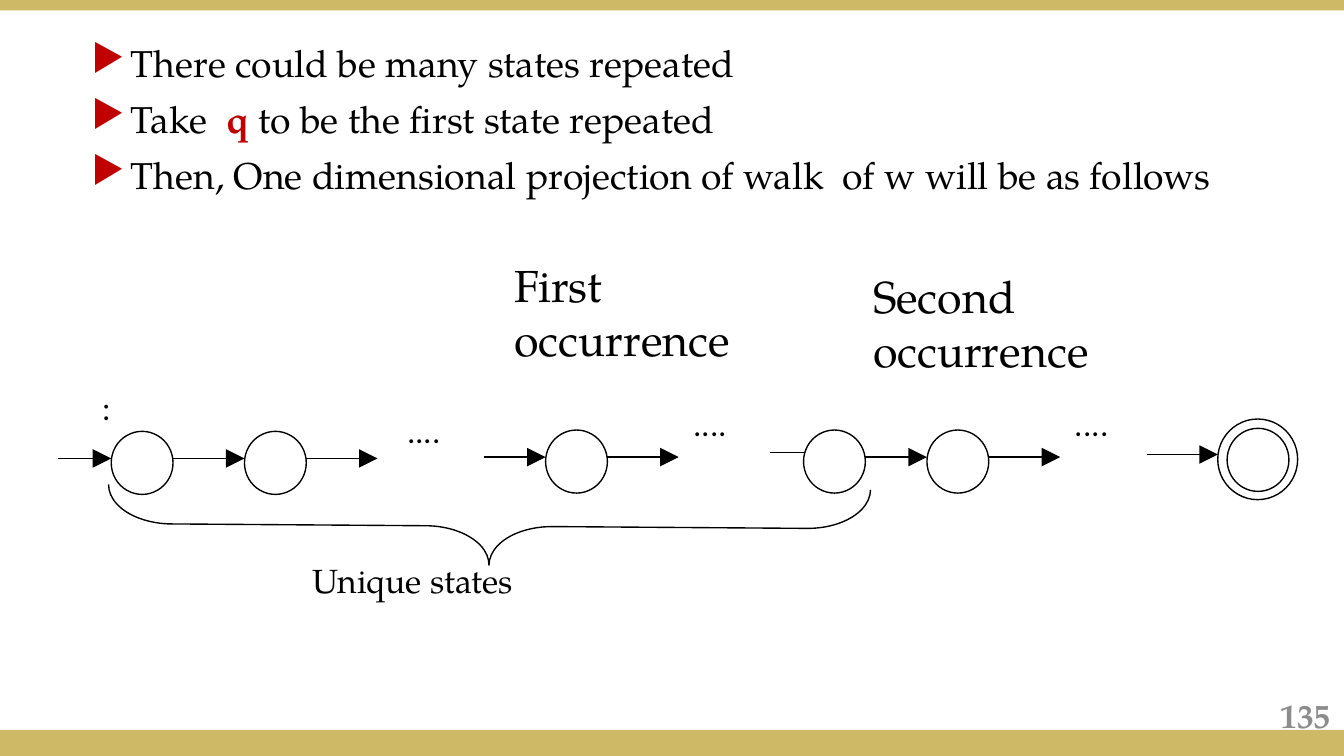
"""Build the slide on the walk of w and its first repeated state."""
from lxml import etree
from pptx import Presentation
from pptx import util as u
from pptx.dml.color import RGBColor
from pptx.enum import shapes, text
from pptx.oxml.ns import qn

GOLD = RGBColor(0xCE, 0xB9, 0x66)
RED = RGBColor(0xC0, 0x00, 0x00)
GRAY = RGBColor(0x8C, 0x8C, 0x8C)
BLACK = RGBColor(0x00, 0x00, 0x00)
FONT = "TeX Gyre Pagella"
STATE_WIDTH, STATE_HEIGHT = 33.1, 33.8

deck = Presentation()
deck.slide_width, deck.slide_height = u.Pt(720), u.Pt(405)
page = deck.slides.add_slide(deck.slide_layouts[6])


def add_outline(kind, left, top, width, height):
    shape = page.shapes.add_shape(kind, u.Pt(left), u.Pt(top), u.Pt(width), u.Pt(height))
    shape.shadow.inherit = False
    shape.fill.background()
    shape.line.color.rgb = BLACK
    shape.line.width = u.Pt(0.75)
    return shape


def add_label(words, left, top, width, height, size, color=BLACK):
    box = page.shapes.add_textbox(u.Pt(left), u.Pt(top), u.Pt(width), u.Pt(height))
    box.text_frame.word_wrap = True
    box.text_frame.text = words
    for para in box.text_frame.paragraphs:
        for span in para.runs:
            span.font.name = FONT
            span.font.size = u.Pt(size)
            span.font.color.rgb = color
    return box


for top, height in [(391, 14), (0, 5.6)]:
    band = add_outline(shapes.MSO_SHAPE.RECTANGLE, 0, top, 720, height)
    band.fill.solid()
    band.fill.fore_color.rgb = GOLD
    band.line.fill.background()

number = add_label("135", 552, 372.5, 168, 21.5, 18, GRAY)
number.text_frame.vertical_anchor = text.MSO_ANCHOR.MIDDLE
number.text_frame.paragraphs[0].alignment = text.PP_ALIGN.RIGHT
number.text_frame.paragraphs[0].runs[0].font.bold = True

points = [
    [("There could be many states repeated", BLACK)],
    [("Take  ", BLACK), ("q ", RED), ("to be the first state repeated", BLACK)],
    [("Then, One dimensional projection of walk  of w will be as follows", BLACK)],
]
box = add_label("", 42, 18, 621, 92, 20)
for index, spans in enumerate(points):
    para = box.text_frame.add_paragraph() if index else box.text_frame.paragraphs[0]
    para.space_after = u.Pt(6)
    properties = para._p.get_or_add_pPr()
    properties.set("marL", str(u.Pt(21)))
    properties.set("indent", str(-u.Pt(21)))
    bullet_color = etree.SubElement(properties, qn("a:buClr"))
    etree.SubElement(bullet_color, qn("a:srgbClr"), val=str(RED))
    etree.SubElement(properties, qn("a:buChar"), char="▶")
    for words, color in spans:
        span = para.add_run()
        span.text = words
        span.font.name = FONT
        span.font.size = u.Pt(20)
        span.font.color.rgb = color
        span.font.bold = color == RED

for words, left, top, width, height, size in [
    (":", 48, 203.8, 24, 29, 18),
    ("....", 211, 216, 57, 45, 18),
    ("....", 364.3, 212.4, 57, 45, 18),
    ("....", 568.8, 212.4, 57, 45, 18),
    ("First\noccurrence", 268.5, 134.6, 148, 82, 24),
    ("Second\noccurrence", 460.6, 140.4, 148, 82, 24),
    ("Unique states", 160.4, 296.6, 220, 45, 18),
]:
    add_label(words, left, top, width, height, size)

for left, top in [(59.6, 231.1), (131, 231.1), (292.3, 230.4),
                  (430.5, 230.4), (496.6, 230.4), (657.4, 229.5)]:
    add_outline(shapes.MSO_SHAPE.OVAL, left, top, STATE_WIDTH, STATE_HEIGHT)
add_outline(shapes.MSO_SHAPE.OVAL, 652.4, 224.5, 42.8, 43.2)

brace = add_outline(shapes.MSO_SHAPE.RIGHT_BRACE, 241.2, 77.8, 41.8, 408.2)
brace.rotation = 90.4
brace.adjustments[0] = 0.81
brace.adjustments[1] = 0.5

for start, end, y, arrow in [
    (31, 59.6, 245.6, True),
    (92.9, 131, 245.6, True),
    (164.2, 202.3, 245.6, True),
    (259.2, 292.3, 244.9, True),
    (325.4, 363.6, 244.9, True),
    (412.6, 430.5, 242.4, False),
    (463.6, 496.6, 244.9, True),
    (529.9, 568, 244.9, True),
    (614.3, 652.4, 243.5, True),
]:
    step = page.shapes.add_connector(
        shapes.MSO_CONNECTOR.STRAIGHT, u.Pt(start), u.Pt(y), u.Pt(end), u.Pt(y))
    step.line.color.rgb = BLACK
    step.line.width = u.Pt(0.75)
    if arrow:
        etree.SubElement(step.line._get_or_add_ln(), qn("a:tailEnd"),
                         type="triangle", w="lg", len="lg")
    etree.SubElement(step._element.spPr, qn("a:effectLst"))

deck.save("out.pptx")
